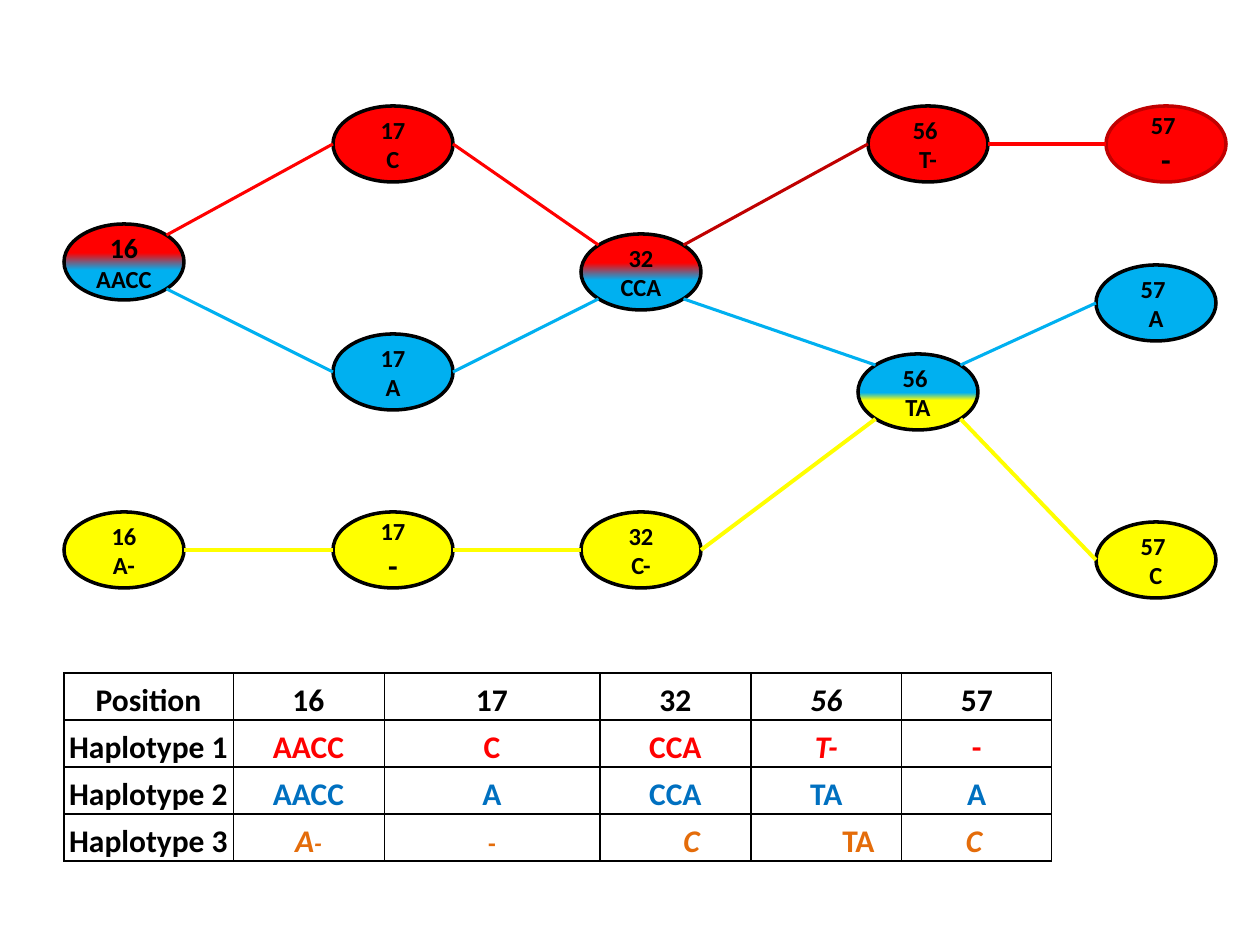
from pptx import Presentation, util as u
from pptx.dml.color import RGBColor
from pptx.enum import shapes, text
from pptx.oxml import parse_xml
from pptx.oxml.ns import nsdecls

PX = 914400 / 126
C = {"black": "000000", "red": "FF0000", "blue": "00B0F0", "yellow": "FFFF00",
     "dark_red": "C00000", "table_blue": "0070C0", "orange": "E46C0A"}
NODE_W, NODE_H = 120, 76
SITES = {"l": (0, 0.5), "r": (1, 0.5), "tl": (0.146, 0.146), "tr": (0.854, 0.146),
         "bl": (0.146, 0.854), "br": (0.854, 0.854)}
RED_BLUE = [("red", 0.38), ("blue", 0.61)]
BLUE_YELLOW = [("blue", 0.51), ("yellow", 0.61)]
NODES = {
    "16 shared": (0, 118, "16", "AACC", RED_BLUE, {"sizes": (16, 14)}),
    "16 yellow": (0, 406, "16", "A-", "yellow", {}),
    "17 blue": (269, 228, "17", "A", "blue", {}),
    "17 red": (269, 0, "17", "C", "red", {}),
    "17 yellow": (269, 406, "17", "-", "yellow", {"sizes": (14, 18)}),
    "32 shared": (517, 128, "32", "CCA", RED_BLUE, {}),
    "32 yellow": (517, 406, "32", "C-", "yellow", {}),
    "56 shared": (794, 248, "56 ", "TA", BLUE_YELLOW, {}),
    "56 red": (804, 0, "56 ", "T-", "red", {}),
    "57 blue": (1032, 159, "57 ", "A", "blue", {}),
    "57 yellow": (1032, 416, "57 ", "C", "yellow", {}),
    "57 red": (1042, 0, "57 ", "-", "red", {"sizes": (14, 18), "outline": "dark_red"}),
}
EDGES = [
    ("16 shared", "br", "17 blue", "l", "blue", 1.75),
    ("16 shared", "tr", "17 red", "l", "red", 1.75),
    ("17 blue", "r", "32 shared", "bl", "blue", 1.75),
    ("17 red", "r", "32 shared", "tl", "red", 1.75),
    ("56 shared", "bl", "32 yellow", "r", "yellow", 2.25),
    ("57 blue", "l", "56 shared", "tr", "blue", 1.75),
    ("56 red", "l", "32 shared", "tr", "dark_red", 1.75),
    ("17 yellow", "l", "16 yellow", "r", "yellow", 1.75),
    ("17 yellow", "r", "32 yellow", "l", "yellow", 1.75),
    ("56 shared", "tl", "32 shared", "br", "blue", 1.75),
    ("56 shared", "br", "57 yellow", "l", "yellow", 2.25),
    ("57 red", "l", "56 red", "r", "red", 2.25),
]
ROWS = [
    ("black", ["Position", "16", "17", "32", "56", "57"]),
    ("red", ["Haplotype 1", "AACC", "C", "CCA", "T-", "-"]),
    ("table_blue", ["Haplotype 2", "AACC", "A", "CCA", "TA", "A"]),
    ("orange", ["Haplotype 3", "A-", "-", "C", "TA", "C "]),
]
ITALIC = {(0, 4), (1, 4), (3, 1), (3, 3), (3, 5)}
INDENTS = {(3, 3): 16, (3, 4): 32}
COLS, ROW_H = [169, 151, 216, 151, 151, 150], 47
RULES = [1, 0.5, 0.5, 1, 1, 0.5, 1]


def px(n):
    """Convert pixels to EMU."""
    return u.Emu(round(n * PX))


def rgb(name):
    """Look up a palette colour."""
    return RGBColor.from_string(C[name])


def style(p, size, color="black", italic=False):
    """Centre a paragraph and format its runs."""
    p.alignment = text.PP_ALIGN.CENTER
    for r in p.runs:
        r.font.name, r.font.size, r.font.bold = "Calibri", u.Pt(size), True
        r.font.italic = italic
        r.font.color.rgb = rgb(color)


def add_node(s, x, y, position, allele, fill, sizes=(14, 14), outline="black"):
    """Draw an allele ellipse with a plain or two-colour fill."""
    sp = s.shapes.add_shape(shapes.MSO_SHAPE.OVAL, px(x), px(y), px(NODE_W), px(NODE_H))
    sp.shadow.inherit = False
    if isinstance(fill, str):
        sp.fill.solid()
        sp.fill.fore_color.rgb = rgb(fill)
    else:
        sp.fill.gradient()
        sp.fill.gradient_angle = 270
        for stop, (name, position_share) in zip(sp.fill.gradient_stops, fill):
            stop.color.rgb, stop.position = rgb(name), position_share
    sp.line.color.rgb, sp.line.width = rgb(outline), u.Pt(2)
    tf = sp.text_frame
    tf.word_wrap = False
    tf.vertical_anchor = text.MSO_ANCHOR.MIDDLE
    tf.text = f"{position}\n{allele}"
    for p, size in zip(tf.paragraphs, sizes):
        style(p, size)


def add_graph(s, x, y):
    """Draw the haplotype graph from its top left corner."""
    for nx, ny, position, allele, fill, options in NODES.values():
        add_node(s, x + nx, y + ny, position, allele, fill, **options)
    for start, start_site, end, end_site, color, width in EDGES:
        ends = []
        for node, site in ((start, start_site), (end, end_site)):
            fx, fy = SITES[site]
            ends += [px(x + NODES[node][0] + fx * NODE_W), px(y + NODES[node][1] + fy * NODE_H)]
        line = s.shapes.add_connector(shapes.MSO_CONNECTOR.STRAIGHT, *ends)
        line.line.color.rgb, line.line.width = rgb(color), u.Pt(width)
        line._element.spPr.append(parse_xml(f"<a:effectLst {nsdecls('a')}/>"))


def add_borders(cell, col):
    """Rule the four sides of a cell."""
    tcPr = cell._tc.get_or_add_tcPr()
    for side, width in (("L", RULES[col]), ("R", RULES[col + 1]), ("T", 1), ("B", 1)):
        tcPr.append(parse_xml(
            f'<a:ln{side} {nsdecls("a")} w="{u.Pt(width)}"><a:solidFill>'
            f'<a:srgbClr val="{C["black"]}"/></a:solidFill></a:ln{side}>'))


def add_haplotype_table(s, x, y):
    """Draw the table of alleles by haplotype and position."""
    tb = s.shapes.add_table(len(ROWS), len(COLS), px(x), px(y),
                            px(sum(COLS)), px(ROW_H * len(ROWS))).table
    tb.first_row = tb.horz_banding = False
    for column, width in zip(tb.columns, COLS):
        column.width = px(width)
    for i, (color, values) in enumerate(ROWS):
        tb.rows[i].height = px(ROW_H)
        for j, value in enumerate(values):
            cell = tb.cell(i, j)
            add_borders(cell, j)
            cell.fill.background()
            cell.margin_left = cell.margin_right = cell.margin_top = px(1)
            cell.margin_bottom = 0
            cell.vertical_anchor = text.MSO_ANCHOR.BOTTOM
            p = cell.text_frame.paragraphs[0]
            p.text = value
            style(p, 18, color if j else "black", (i, j) in ITALIC)
            if (i, j) in INDENTS:
                p._p.get_or_add_pPr().set("marL", str(px(INDENTS[i, j])))
            if color == "orange" and j:
                p.runs[0].font._element.set("cap", "small")


def main():
    """Build the haplotype slide."""
    prs = Presentation()
    prs.slide_width, prs.slide_height = u.Inches(10), u.Inches(7.5)
    s = prs.slides.add_slide(prs.slide_layouts[6])
    add_graph(s, 64, 106)
    add_haplotype_table(s, 64, 673)
    prs.save("out.pptx")


if __name__ == "__main__":
    main()
